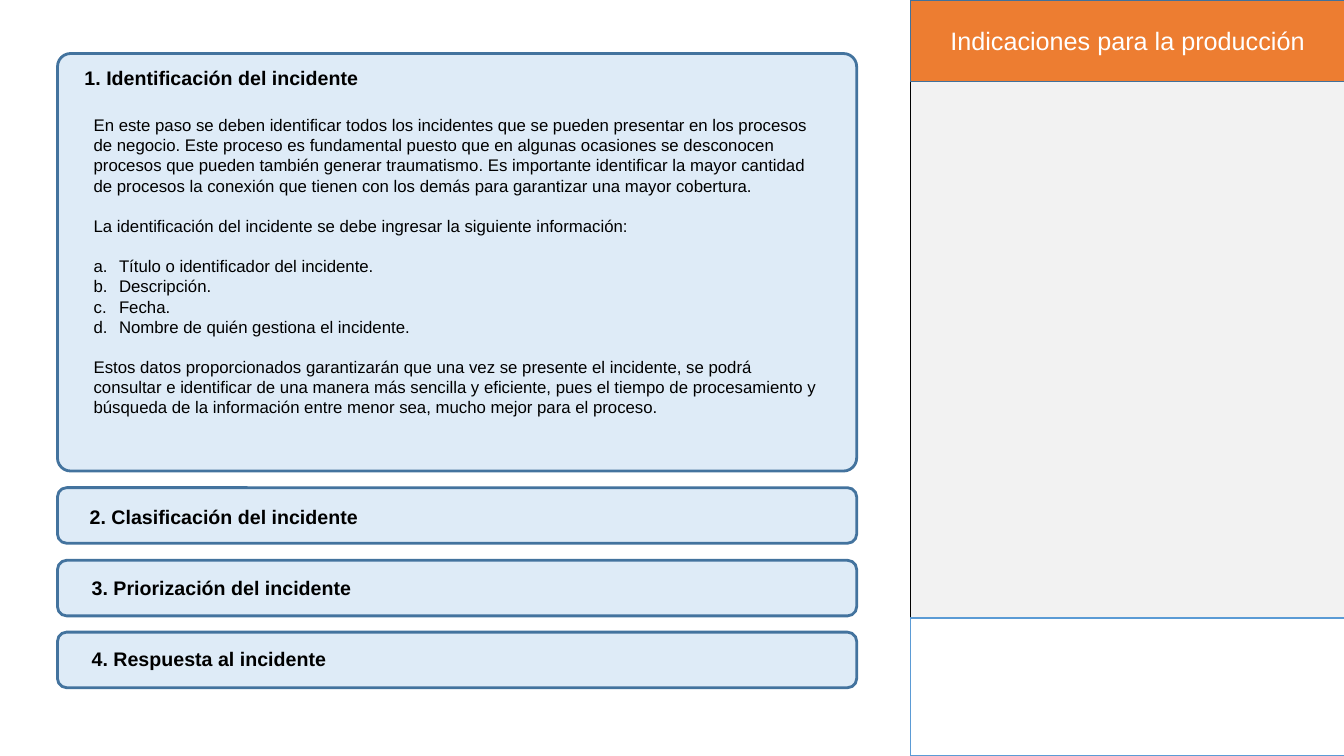
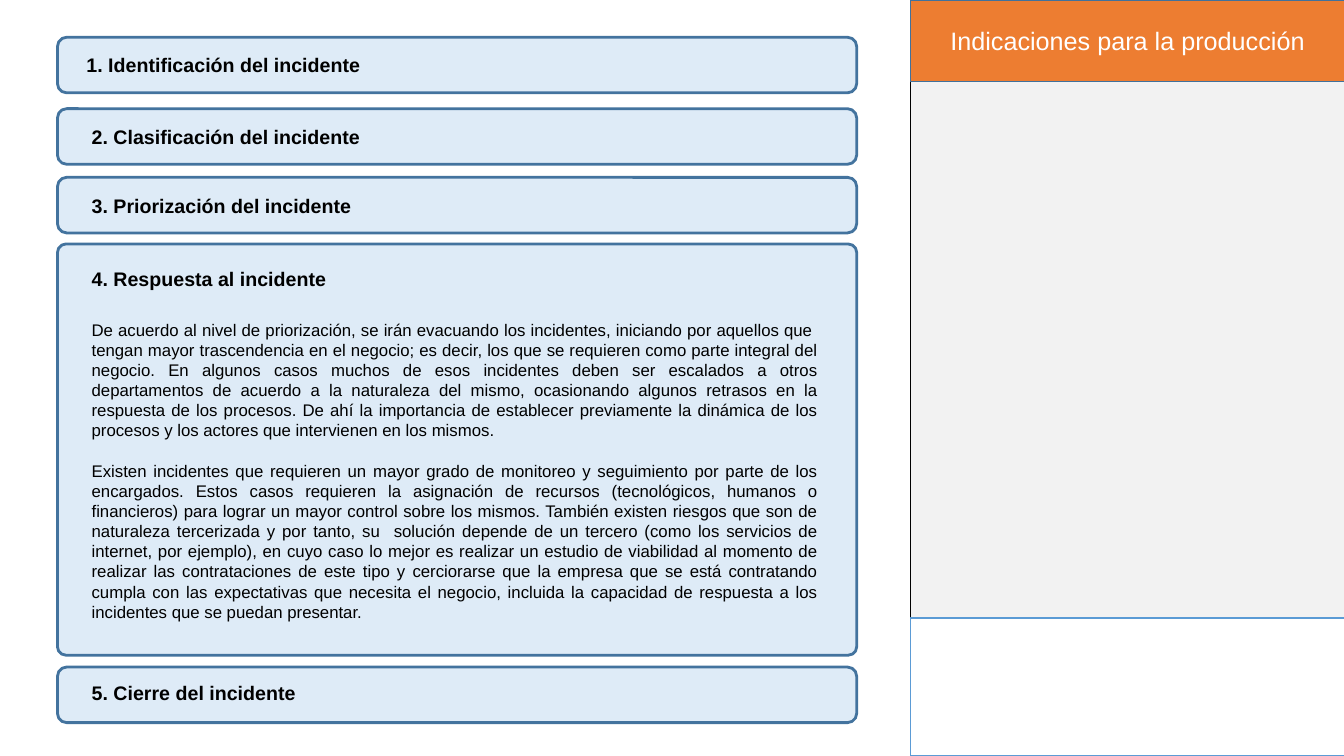
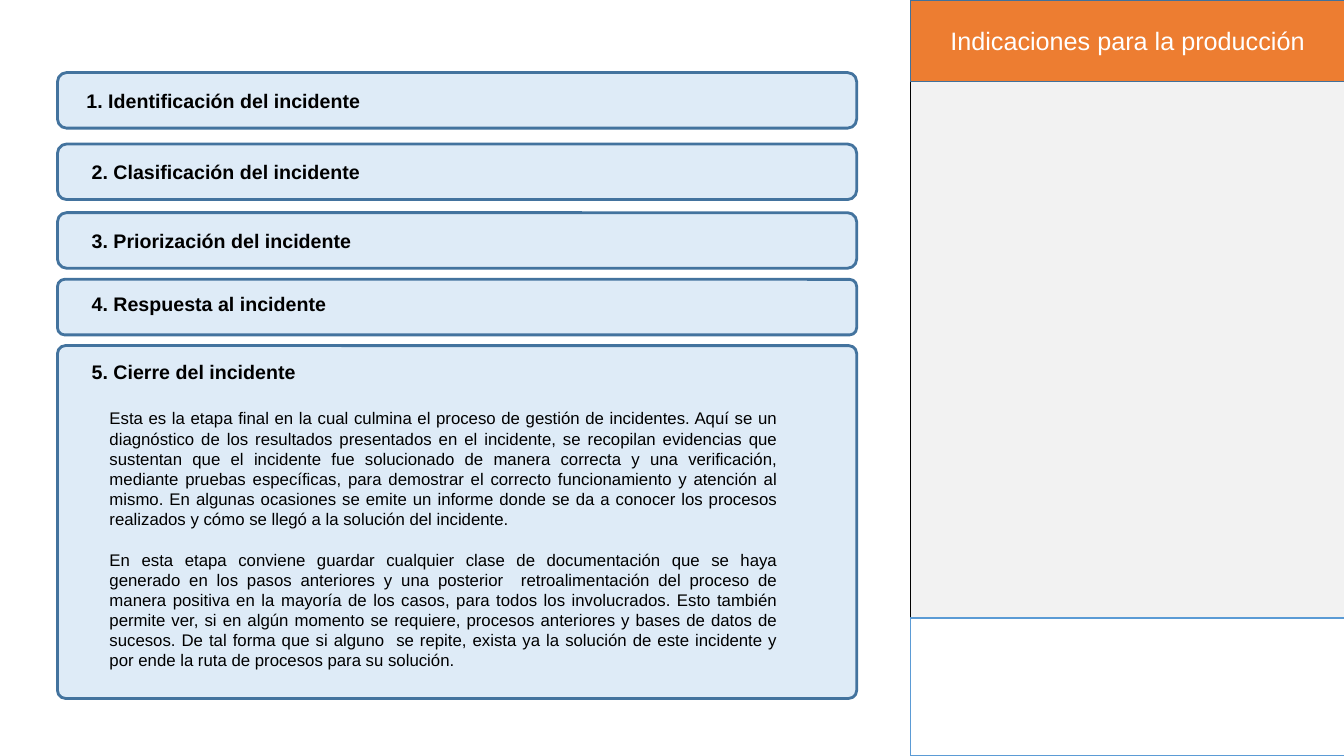
from dataclasses import dataclass

from lxml.etree import SubElement
from pptx import Presentation
from pptx.dml.color import RGBColor
from pptx.enum.shapes import MSO_SHAPE
from pptx.enum.text import MSO_ANCHOR, MSO_AUTO_SIZE, PP_ALIGN
from pptx.oxml.ns import qn
from pptx.shapes.autoshape import Shape
from pptx.slide import Slide
from pptx.text.text import _Paragraph
from pptx.util import Cm, Pt

WHITE = RGBColor(0xFF, 0xFF, 0xFF)
BLACK = RGBColor(0x00, 0x00, 0x00)
GREY = RGBColor(0xF2, 0xF2, 0xF2)
ORANGE = RGBColor(0xED, 0x7D, 0x31)
HEADER_LINE = RGBColor(0x42, 0x71, 0x9B)
FOOTER_LINE = RGBColor(0x5B, 0x9B, 0xD5)
CARD_FILL = RGBColor(0xDE, 0xEB, 0xF7)
CARD_LINE = RGBColor(0x43, 0x73, 0x9E)

FONT = "Arial"
SLIDE_WIDTH, SLIDE_HEIGHT = 33.87, 19.05
PANEL_LEFT, PANEL_WIDTH = 22.94, 10.95
HEADER_HEIGHT = 2.06
FOOTER_TOP = 15.57
CARD_LEFT, CARD_WIDTH, CLOSED_HEIGHT = 1.45, 20.14, 1.4
HEADING_HEIGHT = 0.86
BODY_GAP = Pt(14.4)
LIST_INDENT = Cm(0.64)


@dataclass(frozen=True)
class Box:
    left: float
    top: float
    width: float
    height: float


@dataclass(frozen=True)
class Step:
    heading: str
    width: float


@dataclass(frozen=True)
class Card:
    step: Step
    top: float
    height: float = CLOSED_HEIGHT
    heading_left: float = 2.06
    heading_offset: float = 0.28
    radius: float = 0.23


@dataclass(frozen=True)
class Line:
    text: str
    gap: bool = True
    listed: bool = False


@dataclass(frozen=True)
class Body:
    box: Box
    lines: tuple[Line, ...]
    alignment: PP_ALIGN = PP_ALIGN.JUSTIFY


@dataclass(frozen=True)
class Page:
    cards: tuple[Card, ...]
    body: Body


IDENTIFY = Step("1. Identificación del incidente", 7.44)
CLASSIFY = Step("2. Clasificación del incidente", 7.29)
PRIORITISE = Step("3. Priorización del incidente", 7.09)
RESPOND = Step("4. Respuesta al incidente", 6.45)
CLOSE = Step("5. Cierre del incidente", 5.69)

PAGES = (
    Page(
        (
            Card(IDENTIFY, 1.35, 10.52, 1.88, 0.18, 0.33),
            Card(CLASSIFY, 12.29, heading_left=2.01, heading_offset=0.31),
            Card(PRIORITISE, 14.12, heading_offset=0.26),
            Card(RESPOND, 15.93, heading_offset=0.25),
        ),
        Body(
            Box(2.11, 2.77, 18.85, 7.95),
            (
                Line(
                    "En este paso se deben identificar todos los incidentes que se pueden presentar "
                    "en los procesos de negocio. Este proceso es fundamental puesto que en algunas "
                    "ocasiones se desconocen procesos que pueden también generar traumatismo. Es "
                    "importante identificar la mayor cantidad de procesos la conexión que tienen con "
                    "los demás para garantizar una mayor cobertura."
                ),
                Line("La identificación del incidente se debe ingresar la siguiente información:"),
                Line("Título o identificador del incidente.", listed=True),
                Line("Descripción.", gap=False, listed=True),
                Line("Fecha.", gap=False, listed=True),
                Line("Nombre de quién gestiona el incidente.", gap=False, listed=True),
                Line(
                    "Estos datos proporcionados garantizarán que una vez se presente el incidente, "
                    "se podrá consultar e identificar de una manera más sencilla y eficiente, pues "
                    "el tiempo de procesamiento y búsqueda de la información entre menor sea, mucho "
                    "mejor para el proceso."
                ),
            ),
            PP_ALIGN.LEFT,
        ),
    ),
    Page(
        (
            Card(IDENTIFY, 0.94, heading_left=1.93),
            Card(CLASSIFY, 2.74),
            Card(PRIORITISE, 4.47),
            Card(RESPOND, 6.15, 10.36, heading_offset=0.45, radius=0.21),
            Card(CLOSE, 16.81, heading_offset=0.23),
        ),
        Body(
            Box(2.06, 7.92, 18.82, 7.95),
            (
                Line(
                    "De acuerdo al nivel de priorización, se irán evacuando los incidentes, iniciando "
                    "por aquellos que  tengan mayor trascendencia en el negocio; es decir, los que se "
                    "requieren como parte integral del negocio. En algunos casos muchos de esos "
                    "incidentes deben ser escalados a otros departamentos de acuerdo a la naturaleza "
                    "del mismo, ocasionando algunos retrasos en la respuesta de los procesos. De ahí "
                    "la importancia de establecer previamente la dinámica de los procesos y los "
                    "actores que intervienen en los mismos."
                ),
                Line(
                    "Existen incidentes que requieren un mayor grado de monitoreo y seguimiento por "
                    "parte de los encargados. Estos casos requieren la asignación de recursos "
                    "(tecnológicos, humanos o financieros) para lograr un mayor control sobre los "
                    "mismos. También existen riesgos que son de naturaleza tercerizada y por tanto, "
                    "su  solución depende de un tercero (como los servicios de internet, por ejemplo), "
                    "en cuyo caso lo mejor es realizar un estudio de viabilidad al momento de realizar "
                    "las contrataciones de este tipo y cerciorarse que la empresa que se está "
                    "contratando cumpla con las expectativas que necesita el negocio, incluida la "
                    "capacidad de respuesta a los incidentes que se puedan presentar."
                ),
            ),
        ),
    ),
    Page(
        (
            Card(IDENTIFY, 1.83, heading_left=1.93),
            Card(CLASSIFY, 3.63),
            Card(PRIORITISE, 5.36),
            Card(RESPOND, 7.04, heading_offset=0.2, radius=0.18),
            Card(CLOSE, 8.71, 8.89, heading_offset=0.23, radius=0.2),
        ),
        Body(
            Box(2.51, 10.16, 17.35, 6.93),
            (
                Line(
                    "Esta es la etapa final en la cual culmina el proceso de gestión de incidentes. "
                    "Aquí se un diagnóstico de los resultados presentados en el incidente, se "
                    "recopilan evidencias que sustentan que el incidente fue solucionado de manera "
                    "correcta y una verificación, mediante pruebas específicas, para demostrar el "
                    "correcto funcionamiento y atención al mismo. En algunas ocasiones se emite un "
                    "informe donde se da a conocer los procesos realizados y cómo se llegó a la "
                    "solución del incidente."
                ),
                Line(
                    "En esta etapa conviene guardar cualquier clase de documentación que se haya "
                    "generado en los pasos anteriores y una posterior  retroalimentación del proceso "
                    "de manera positiva en la mayoría de los casos, para todos los involucrados. Esto "
                    "también permite ver, si en algún momento se requiere, procesos anteriores y bases "
                    "de datos de sucesos. De tal forma que si alguno  se repite, exista ya la solución "
                    "de este incidente y por ende la ruta de procesos para su solución."
                ),
            ),
        ),
    ),
)


def format_runs(paragraph: _Paragraph, size: int, color: RGBColor, bold: bool = False) -> None:
    for run in paragraph.runs:
        run.font.name = FONT
        run.font.size = Pt(size)
        run.font.bold = bold
        run.font.color.rgb = color


def add_panel(slide: Slide, kind: MSO_SHAPE, box: Box, fill: RGBColor,
              line: RGBColor, line_width: int) -> Shape:
    shape = slide.shapes.add_shape(
        kind, Cm(box.left), Cm(box.top), Cm(box.width), Cm(box.height))
    shape.shadow.inherit = False
    shape.fill.solid()
    shape.fill.fore_color.rgb = fill
    shape.line.color.rgb = line
    shape.line.width = Pt(line_width)
    return shape


def add_text_box(slide: Slide, box: Box, wrap: bool) -> Shape:
    shape = slide.shapes.add_textbox(
        Cm(box.left), Cm(box.top), Cm(box.width), Cm(box.height))
    shape.text_frame.word_wrap = wrap
    shape.text_frame.auto_size = MSO_AUTO_SIZE.SHAPE_TO_FIT_TEXT
    return shape


def add_production_notes(slide: Slide) -> None:
    column = Box(PANEL_LEFT, 0, PANEL_WIDTH, SLIDE_HEIGHT)
    header = Box(PANEL_LEFT, 0, PANEL_WIDTH, HEADER_HEIGHT)
    footer = Box(PANEL_LEFT, FOOTER_TOP, PANEL_WIDTH, SLIDE_HEIGHT - FOOTER_TOP)
    add_panel(slide, MSO_SHAPE.RECTANGLE, column, GREY, BLACK, 1)
    title = add_panel(slide, MSO_SHAPE.RECTANGLE, header, ORANGE, HEADER_LINE, 1)
    add_panel(slide, MSO_SHAPE.RECTANGLE, footer, WHITE, FOOTER_LINE, 1)
    title.text_frame.text = "Indicaciones para la producción"
    title.text_frame.vertical_anchor = MSO_ANCHOR.MIDDLE
    paragraph = title.text_frame.paragraphs[0]
    paragraph.alignment = PP_ALIGN.CENTER
    format_runs(paragraph, 18, WHITE)


def add_card(slide: Slide, card: Card) -> None:
    frame = Box(CARD_LEFT, card.top, CARD_WIDTH, card.height)
    shape = add_panel(slide, MSO_SHAPE.ROUNDED_RECTANGLE, frame, CARD_FILL, CARD_LINE, 2)
    shape.adjustments[0] = card.radius / card.height
    heading_box = Box(card.heading_left, card.top + card.heading_offset,
                      card.step.width, HEADING_HEIGHT)
    heading = add_text_box(slide, heading_box, wrap=False)
    heading.text_frame.text = card.step.heading
    format_runs(heading.text_frame.paragraphs[0], 14, BLACK, bold=True)


def add_letter_numbering(paragraph: _Paragraph) -> None:
    properties = paragraph._p.get_or_add_pPr()
    properties.set("marL", str(LIST_INDENT))
    properties.set("indent", str(-LIST_INDENT))
    SubElement(properties, qn("a:buFont"), typeface=FONT)
    SubElement(properties, qn("a:buAutoNum"), type="alphaLcPeriod")


def add_body(slide: Slide, body: Body) -> None:
    text_frame = add_text_box(slide, body.box, wrap=True).text_frame
    for index, line in enumerate(body.lines):
        paragraph = text_frame.add_paragraph() if index else text_frame.paragraphs[0]
        paragraph.text = line.text
        paragraph.alignment = body.alignment
        if line.listed:
            add_letter_numbering(paragraph)
        if index and line.gap:
            paragraph.space_before = BODY_GAP
        format_runs(paragraph, 12, BLACK)


def main() -> None:
    presentation = Presentation()
    presentation.slide_width = Cm(SLIDE_WIDTH)
    presentation.slide_height = Cm(SLIDE_HEIGHT)
    for page in PAGES:
        slide = presentation.slides.add_slide(presentation.slide_layouts[6])
        add_production_notes(slide)
        for card in page.cards:
            add_card(slide, card)
        add_body(slide, page.body)
    presentation.save("out.pptx")


if __name__ == "__main__":
    main()
